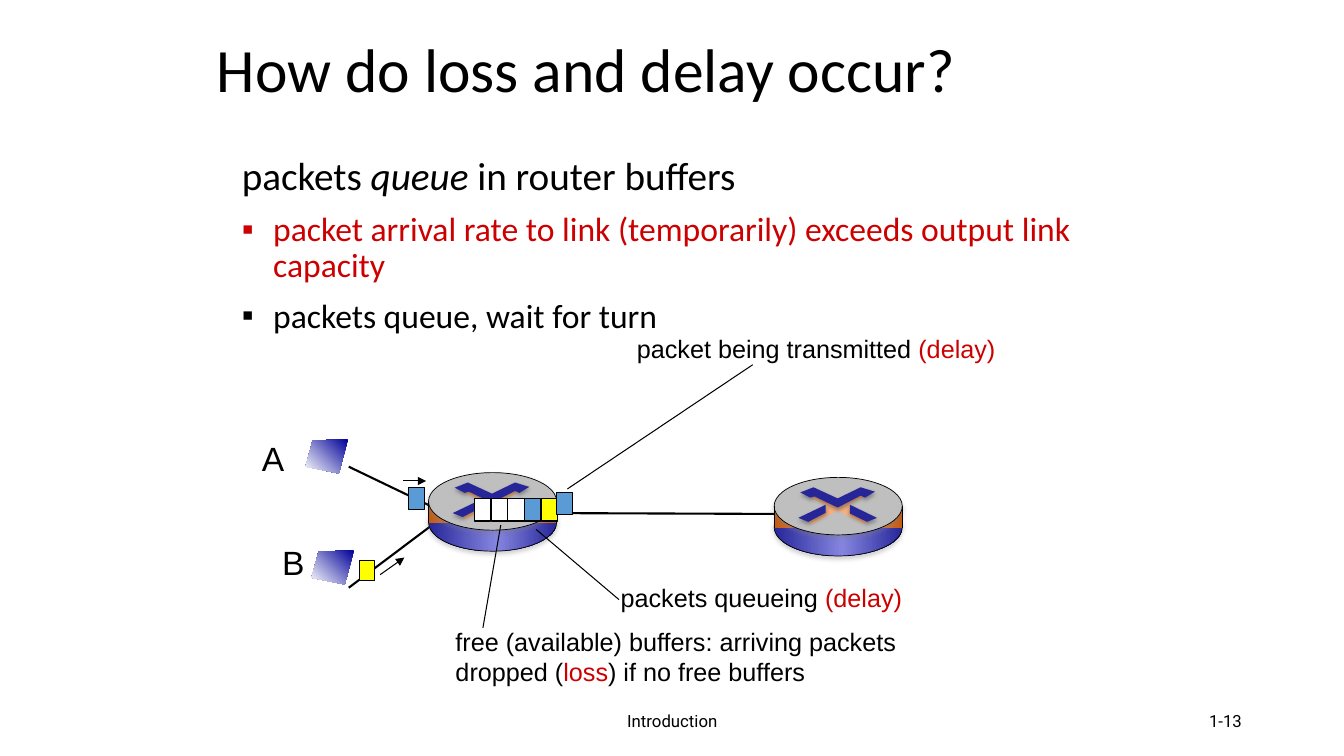
"""Build a slide on how packet loss and delay arise in router buffers."""
from lxml.etree import SubElement
from copy import deepcopy
from pptx import Presentation
from pptx.dml.color import RGBColor
from pptx.enum.shapes import MSO_CONNECTOR, MSO_SHAPE as Preset
from pptx.enum.text import MSO_ANCHOR as Anchor, MSO_AUTO_SIZE as Fit, PP_ALIGN as Align
from pptx.oxml.ns import qn
from pptx.util import Cm, Pt

COLOURS = {
    "black": "000000", "white": "FFFFFF", "red": "CC0000", "blue": "5B9BD5",
    "yellow": "FFFF00", "grey": "BFBFBF", "navy": "262699", "lilac": "8585E0",
    "rust": "C55A11", "peach": "F4B183", "screen": "000099", "shade": "808080",
}

TITLE = [[("How do loss and delay occur?",)]]
BODY = [
    [("packets ",), ("queue", "black", True), (" in router buffers",)],
    [("packet arrival rate to link (temporarily) exceeds output link capacity", "red")],
    [("packets queue, wait for turn",)],
]
HOSTS = [
    ("A", (6.35, 10.9, 1.12, 1.3), (7.7, 11.07)),
    ("B", (6.86, 13.54, 1.07, 1.27), (7.85, 13.87)),
]
CALLOUTS = [
    ([[("packet being transmitted ",), ("(delay)", "red")]],
     (15.8, 8.28, 9.7, 1.02), (18.97, 9.19, 14.3, 12.32)),
    ([[("packets queueing ",), ("(delay)", "red")]],
     (15.39, 14.55, 8.2, 1.02), (15.6, 15.11, 13.51, 13.34)),
    ([[("free (available) buffers: arriving packets",)],
      [("dropped (",), ("loss", "red"), (") if no free buffers",)]],
     (11.23, 15.65, 11.81, 1.78), (12.17, 15.82, 12.62, 13.23)),
]
FOOTERS = [
    ("Introduction", (11.23, 17.65, 11.43, 1.02), Align.CENTER),
    ("1-13", (23.93, 17.65, 7.62, 1.02), Align.RIGHT),
]

LINKS = [(8.79, 11.76, 10.85, 12.75), (14.15, 12.93, 19.51, 12.95),
         (8.79, 14.81, 10.85, 13.26)]
ARROWS = [(10.16, 12.12, 10.74, 12.12), (9.58, 14.48, 10.19, 14.05)]
ROUTERS = [(10.8, 11.91), (19.51, 12.03)]
BUFFER = ["white", "white", "white", "blue", "yellow"]
BUFFER_LEFT, BUFFER_TOP, BUFFER_STEP = 11.96, 12.57, 0.42
PACKET_SIZE = (0.41, 0.56)
MOVING_PACKETS = [
    ("blue", (14.02, 12.4), PACKET_SIZE),
    ("blue", (10.29, 12.29), PACKET_SIZE),
    ("yellow", (9.07, 14.12), (0.38, 0.51)),
]

ROUTER_WIDTH, DISC_HEIGHT = 3.23, 1.45
SCREEN = [(1.07, 0), (0.18, 0.03), (0, 0.69), (0.84, 0.86)]
CROSS = [(1.6, 0.84), (0.97, 1.17), (0.81, 1.12), (1.3, 0.89), (1.3, 0.69),
         (0.91, 0.51), (1.04, 0.46), (1.6, 0.71), (2.16, 0.43), (2.31, 0.48),
         (1.91, 0.66), (1.98, 0.94), (2.39, 1.12), (2.26, 1.17)]
CROSS_ARMS = [
    [(0.66, 0.38), (0.99, 0.25), (1.6, 0.53), (2.18, 0.25), (2.54, 0.36),
     (2.29, 0.51), (2.18, 0.46), (1.6, 0.76), (1.02, 0.48), (0.91, 0.51)],
    [(1.91, 0.69), (2.59, 1.02), (2.34, 1.12), (1.91, 0.91)],
    [(1.3, 0.69), (1.3, 0.89), (0.86, 1.12), (0.61, 1.02)],
]
DISC_SIDE = [(0, "navy"), (0.53, "lilac"), (1, "navy")]
BAND = [(0, "rust"), (0.53, "peach"), (1, "rust")]
GLOW = [(0, "screen"), (1, "white")]


def rgb(colour):
    """Return the named colour."""
    return RGBColor.from_string(COLOURS[colour])


def cm(values):
    """Turn numbers into lengths."""
    return [Cm(value) for value in values]


def add_run(line, text, colour="black", italic=False, *, size, font):
    """Append one formatted run to a paragraph."""
    run = line.add_run()
    run.text = text
    run.font.name, run.font.size, run.font.italic = font, Pt(size), italic
    run.font.color.rgb = rgb(colour)


def write(holder, paragraphs, *, size, font="Arial", align=Align.LEFT,
          anchor=Anchor.TOP, wrap=True, fit=Fit.NONE, spacing=None, before=0, bullets=False):
    """Fill a text holder with paragraphs of (text, colour, italic) runs."""
    frame = holder.text_frame
    frame.word_wrap, frame.auto_size, frame.vertical_anchor = wrap, fit, anchor
    for row, runs in enumerate(paragraphs):
        line = frame.add_paragraph() if row else frame.paragraphs[0]
        if bullets:
            props = line._p.get_or_add_pPr()
            indent = Cm(0.79) if row else 0
            props.set("marL", str(indent))
            props.set("indent", str(-indent))
            if row:
                SubElement(props, qn("a:buFont"), typeface="Arial")
                SubElement(props, qn("a:buChar"), char="▪")
            else:
                SubElement(props, qn("a:buNone"))
        line.alignment, line.line_spacing = align, spacing
        line.space_before = Pt(before if row else 0)
        for run in runs:
            add_run(line, *run, size=size[min(row, 1)] if bullets else size, font=font)


def cast_shadow(effects, colour, alpha):
    """Add a soft shadow below a part."""
    outer = SubElement(effects, qn("a:outerShdw"), blurRad=str(Pt(3.1)), dist=str(Pt(1.8)),
                       dir="5400000", algn="t", rotWithShape="0")
    tint = SubElement(outer, qn("a:srgbClr"), val=COLOURS[colour])
    SubElement(tint, qn("a:alpha"), val=str(alpha * 1000))


def paint(part, fill, outline=None, shadow=None, angle=0):
    """Set fill (a name or gradient stops), outline width and shadow."""
    part.shadow.inherit = False
    if isinstance(fill, str):
        part.fill.solid()
        part.fill.fore_color.rgb = rgb(fill)
    else:
        part.fill.gradient()
        part.fill.gradient_angle = angle
        stops = part._element.spPr.find(".//" + qn("a:gsLst"))
        while len(stops) < len(fill):
            stops.append(deepcopy(stops[-1]))
        for stop, (position, colour) in zip(part.fill.gradient_stops, fill):
            stop.position = position
            stop.color.rgb = rgb(colour)
    if outline:
        part.line.color.rgb = rgb("black")
        part.line.width = Pt(outline)
    else:
        part.line.fill.background()
    if shadow:
        cast_shadow(part._element.spPr.find(qn("a:effectLst")), shadow, 35)


def draw_line(shapes, ends, width, arrow=False, shadow=None):
    """Draw a straight black line."""
    line = shapes.add_connector(MSO_CONNECTOR.STRAIGHT, *cm(ends))
    line.line.color.rgb = rgb("black")
    line.line.width = Pt(width)
    props = line._element.spPr
    if arrow:
        SubElement(props.find(qn("a:ln")), qn("a:tailEnd"), type="triangle")
    effects = SubElement(props, qn("a:effectLst"))
    if shadow:
        cast_shadow(effects, shadow, 38)


def draw_outline(shapes, origin, points, fill, **look):
    """Draw a closed polygon offset from an origin."""
    left, top = origin
    corners = [cm((left + x, top + y)) for x, y in points]
    builder = shapes.build_freeform(*corners[0])
    builder.add_line_segments(corners[1:], close=True)
    paint(builder.convert_to_shape(), fill, **look)


def draw_router(shapes, left, top):
    """Draw a router as one group."""
    router = shapes.add_group_shape().shapes
    for preset, drop, height, fill, look in [
        (Preset.OVAL, 0.53, DISC_HEIGHT, DISC_SIDE, {"outline": 0.5, "shadow": "shade"}),
        (Preset.RECTANGLE, 0.74, 0.53, BAND, {}),
        (Preset.OVAL, 0, DISC_HEIGHT, "grey", {"outline": 0.5, "shadow": "shade"}),
    ]:
        paint(router.add_shape(preset, *cm((left, top + drop, ROUTER_WIDTH, height))),
              fill, **look)
    draw_outline(router, (left, top), CROSS, "peach")
    for arm in CROSS_ARMS:
        draw_outline(router, (left, top), arm, "navy", shadow="black")
    for side in (left, left + ROUTER_WIDTH):
        draw_line(router, (side, top + 1.27, side, top + 0.71), 0.5, shadow="shade")


def main():
    """Assemble and save the slide."""
    deck = Presentation()
    deck.slide_width, deck.slide_height = Cm(33.87), Cm(19.05)
    slide = deck.slides.add_slide(deck.slide_layouts[1])
    shapes = slide.shapes
    title, body = slide.placeholders
    title.left, title.top, title.width, title.height = cm((5.21, 0.23, 21.59, 3.18))
    body.left, body.top, body.width, body.height = cm((5.84, 3.81, 23.8, 5.87))
    write(title, TITLE, size=44, font="Calibri", anchor=Anchor.MIDDLE, spacing=0.9)
    write(body, BODY, size=(28, 24), font="Calibri", spacing=0.9, before=10, bullets=True)

    for link in LINKS:
        draw_line(shapes, link, 1.5)
    for router in ROUTERS:
        draw_router(shapes, *router)
    for name, place, screen in HOSTS:
        write(shapes.add_textbox(*cm(place)), [[(name,)]], size=24, wrap=False,
              fit=Fit.SHAPE_TO_FIT_TEXT)
        draw_outline(shapes, screen, SCREEN, GLOW, angle=225)
    queued = [(colour, (BUFFER_LEFT + slot * BUFFER_STEP, BUFFER_TOP), PACKET_SIZE)
              for slot, colour in enumerate(BUFFER)]
    for colour, corner, size in queued + MOVING_PACKETS:
        paint(shapes.add_shape(Preset.RECTANGLE, *cm(corner + size)), colour, outline=0.75)
    for arrow in ARROWS:
        draw_line(shapes, arrow, 0.75, arrow=True)
    for label, place, pointer in CALLOUTS:
        write(shapes.add_textbox(*cm(place)), label, size=18)
        draw_line(shapes, pointer, 0.75)
    for text, place, align in FOOTERS:
        write(shapes.add_textbox(*cm(place)), [[(text,)]], size=12, font="Roboto",
              align=align, anchor=Anchor.MIDDLE)
    deck.save("out.pptx")


if __name__ == "__main__":
    main()
